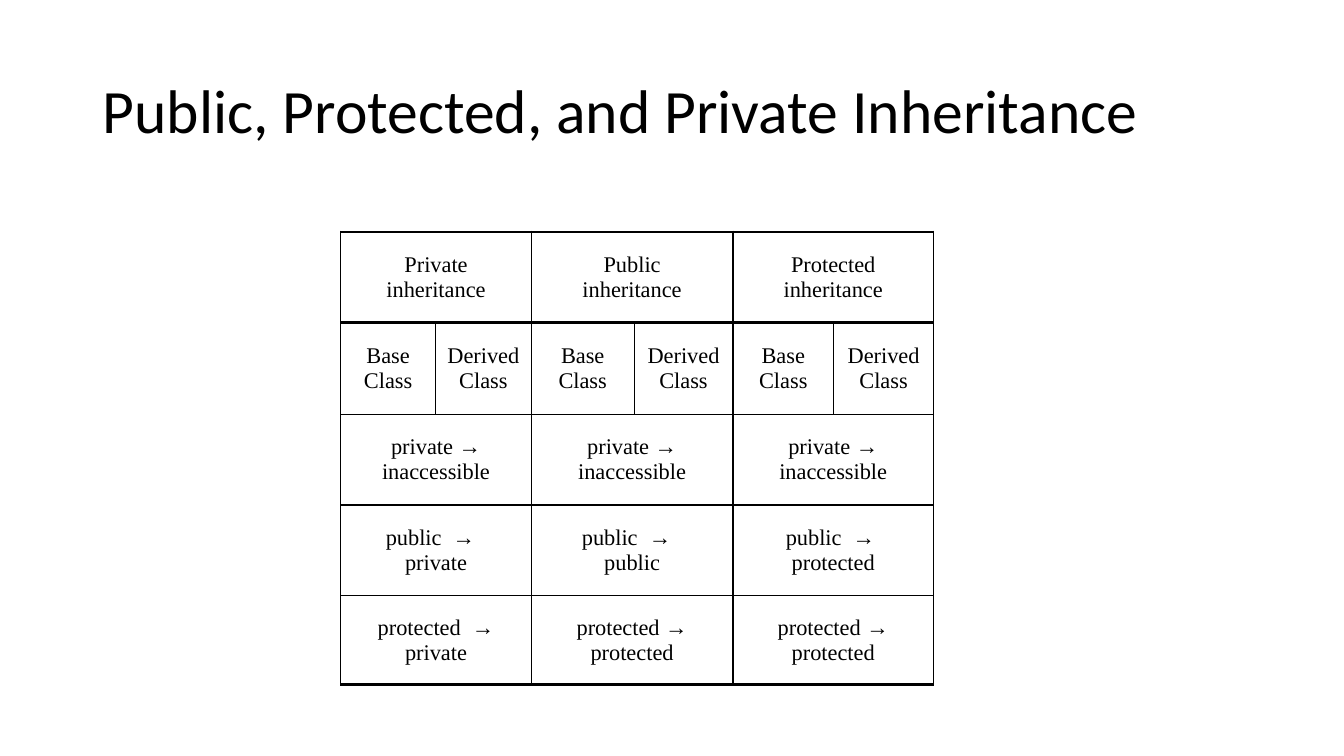
from dataclasses import dataclass

from lxml import etree
from pptx import Presentation
from pptx.dml.color import RGBColor
from pptx.enum.text import MSO_ANCHOR, PP_ALIGN
from pptx.oxml.ns import qn
from pptx.util import Inches, Pt

BLACK = RGBColor(0x00, 0x00, 0x00)
LEFT = PP_ALIGN.LEFT
CENTER = PP_ALIGN.CENTER
MIDDLE = MSO_ANCHOR.MIDDLE

COLUMN_WIDTHS = (0.94, 0.95, 1.02, 0.98, 1, 0.99)
ROW_HEIGHTS = (0.9, 0.91, 0.9, 0.9, 0.88)
THIN, NORMAL, THICK = 0.75, 1, 2
ROW_LINES = (THICK, THICK, NORMAL, NORMAL, NORMAL, THICK)
COLUMN_LINES = (THIN,) + (NORMAL,) * (len(COLUMN_WIDTHS) - 1) + (THIN,)


@dataclass(frozen=True)
class TableRow:
    texts: tuple[str, ...]
    span: int = 2


ROWS = (
    TableRow(("Private\ninheritance", "Public\ninheritance", "Protected\ninheritance")),
    TableRow(("Base\nClass", "Derived\nClass") * 3, span=1),
    TableRow(("private → inaccessible",) * 3),
    TableRow(("public  →  \nprivate", "public  →  \npublic", "public  → \nprotected")),
    TableRow(("protected  → private", "protected → protected", "protected →\nprotected")),
)


def write_text(text_frame, text: str, *, font: str, size: float,
               alignment=LEFT, line_spacing: float = 1.0) -> None:
    for index, line in enumerate(text.split("\n")):
        paragraph = text_frame.add_paragraph() if index else text_frame.paragraphs[0]
        paragraph.alignment = alignment
        paragraph.line_spacing = line_spacing
        run = paragraph.add_run()
        run.text = line
        run.font.name = font
        run.font.size = Pt(size)
        run.font.color.rgb = BLACK


def set_borders(cell, widths: dict[str, float]) -> None:
    properties = cell._tc.get_or_add_tcPr()
    for side, width in widths.items():
        line = etree.SubElement(properties, qn(f"a:ln{side}"), w=str(Pt(width)))
        fill = etree.SubElement(line, qn("a:solidFill"))
        etree.SubElement(fill, qn("a:srgbClr"), val=str(BLACK))


def format_cell(table, row: int, column: int, span: int) -> None:
    cell = table.cell(row, column)
    start = column - column % span
    set_borders(cell, {
        "L": COLUMN_LINES[start],
        "R": COLUMN_LINES[start + span],
        "T": ROW_LINES[row],
        "B": ROW_LINES[row + 1],
    })
    cell.fill.background()
    cell.vertical_anchor = MIDDLE


def add_title(slide) -> None:
    title = slide.shapes.title
    title.left, title.top = Inches(0.92), Inches(0.4)
    title.width, title.height = Inches(11.5), Inches(1.45)
    title.text_frame.vertical_anchor = MIDDLE
    write_text(title.text_frame, "Public, Protected, and Private Inheritance",
               font="Calibri", size=44, line_spacing=0.9)


def add_inheritance_table(slide) -> None:
    table = slide.shapes.add_table(
        len(ROWS), len(COLUMN_WIDTHS), Inches(3.38), Inches(2.3),
        Inches(sum(COLUMN_WIDTHS)), Inches(sum(ROW_HEIGHTS))).table
    table.first_row = False
    table.horz_banding = False
    for column, width in zip(table.columns, COLUMN_WIDTHS):
        column.width = Inches(width)
    for row, height in zip(table.rows, ROW_HEIGHTS):
        row.height = Inches(height)

    for row_index, row in enumerate(ROWS):
        for column_index in range(len(COLUMN_WIDTHS)):
            format_cell(table, row_index, column_index, row.span)
        for index, text in enumerate(row.texts):
            start = index * row.span
            cell = table.cell(row_index, start)
            if row.span > 1:
                cell.merge(table.cell(row_index, start + row.span - 1))
            write_text(cell.text_frame, text, font="Times New Roman",
                       size=16, alignment=CENTER)


def main() -> None:
    presentation = Presentation()
    presentation.slide_width = Inches(13.33)
    presentation.slide_height = Inches(7.5)
    slide = presentation.slides.add_slide(
        presentation.slide_layouts.get_by_name("Title Only"))
    add_title(slide)
    add_inheritance_table(slide)
    presentation.save("out.pptx")


if __name__ == "__main__":
    main()
